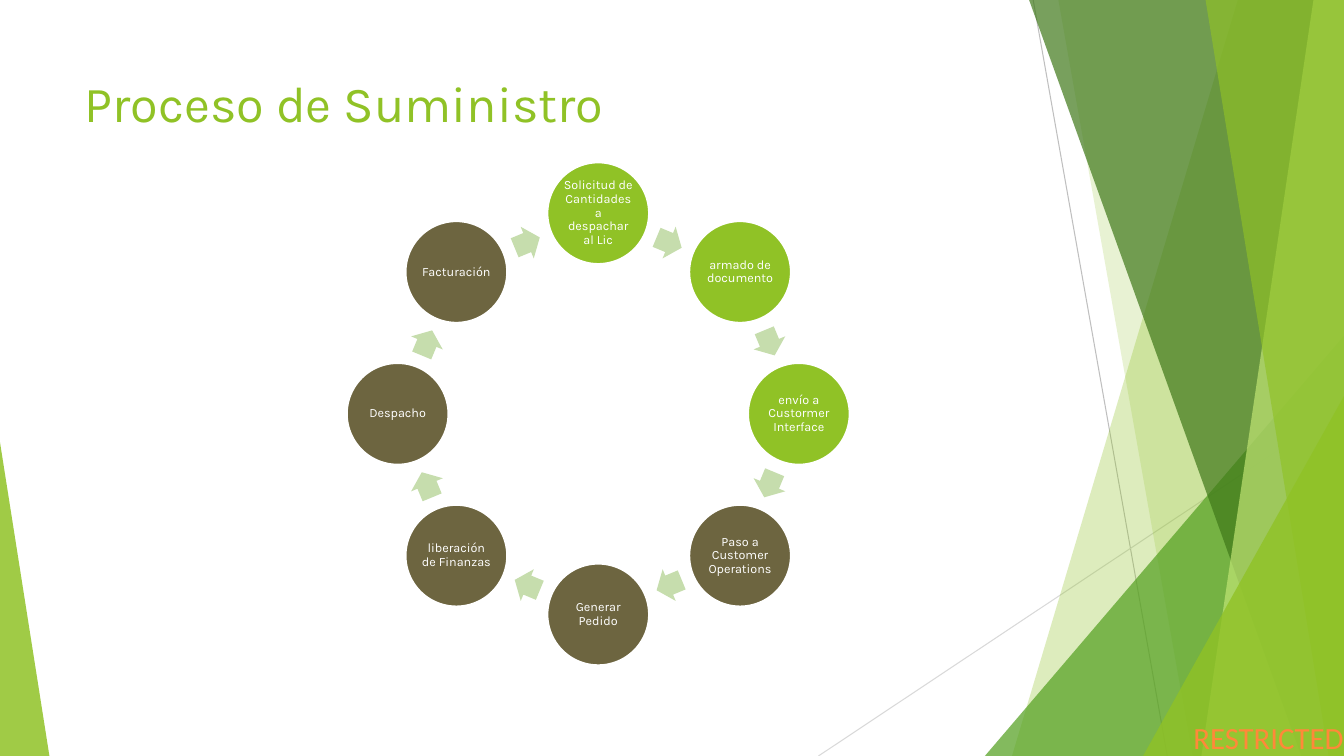
"""Build the supply process slide: a ring of eight steps on a green faceted theme."""
from math import cos, pi, sin

from lxml import etree
from pptx import Presentation
from pptx.dml.color import RGBColor
from pptx.enum import shapes, text
from pptx.oxml import ns
from pptx.util import Pt

GREEN = RGBColor(0x90, 0xC2, 0x26)
MID_GREEN = RGBColor(0x54, 0xA0, 0x21)
DARK_GREEN = RGBColor(0x3F, 0x78, 0x19)
LIME = RGBColor(0xC0, 0xE4, 0x74)
PALE_GREEN = RGBColor(0xC6, 0xDD, 0xAD)
OLIVE = RGBColor(0x6D, 0x65, 0x40)
ORANGE = RGBColor(0xFF, 0x89, 0x39)
WHITE = RGBColor(0xFF, 0xFF, 0xFF)
GRAY = RGBColor(0xBF, 0xBF, 0xBF)
LIGHT_GRAY = RGBColor(0xD9, 0xD9, 0xD9)

WIDTH, HEIGHT = 960, 540
CENTER_X, CENTER_Y, RADIUS = 427.3, 295.6, 143.3
CIRCLE = 72.7
ARROW_W, ARROW_H = 19.4, 24.5
STEPS = [
    ("Solicitud de Cantidades a despachar al Lic", GREEN),
    ("armado de documento", GREEN),
    ("envío a Custormer Interface", GREEN),
    ("Paso a Customer Operations", OLIVE),
    ("Generar Pedido", OLIVE),
    ("liberación de Finanzas", OLIVE),
    ("Despacho", OLIVE),
    ("Facturación", OLIVE),
]


def write(tf, words, size, color, font="Karla", align=None, spacing=None,
          anchor=text.MSO_ANCHOR.TOP, inset=None, wrap=True):
    """Put one formatted paragraph in a text frame."""
    tf.word_wrap = wrap
    tf.auto_size = text.MSO_AUTO_SIZE.NONE
    tf.vertical_anchor = anchor
    if inset is not None:
        tf.margin_left = tf.margin_right = Pt(inset)
        tf.margin_top = tf.margin_bottom = Pt(inset)
    p = tf.paragraphs[0]
    p.alignment = align
    p.line_spacing = spacing
    r = p.add_run()
    r.text = words
    r.font.size = Pt(size)
    r.font.name = font
    r.font.color.rgb = color


def paint(sp, color, alpha=100):
    """Give a shape a flat fill with no outline or shadow."""
    sp.shadow.inherit = False
    sp.fill.solid()
    sp.fill.fore_color.rgb = color
    sp.line.fill.background()
    if alpha < 100:
        clr = sp.fill._xPr.find(".//" + ns.qn("a:srgbClr"))
        etree.SubElement(clr, ns.qn("a:alpha"), val=str(alpha * 1000))


def add_shape(s, kind, x, y, w, h, color, alpha=100, adj=()):
    """Add a flat preset shape."""
    sp = s.shapes.add_shape(kind, Pt(x), Pt(y), Pt(w), Pt(h))
    for i, value in enumerate(adj):
        sp.adjustments[i] = value
    paint(sp, color, alpha)
    return sp


def add_panel(s, top_x, bottom_x, color, alpha):
    """Add a full-height panel with a slanted left edge."""
    fb = s.shapes.build_freeform(Pt(top_x), Pt(0))
    corners = [(WIDTH, 0), (WIDTH, HEIGHT), (bottom_x, HEIGHT)]
    fb.add_line_segments([(Pt(x), Pt(y)) for x, y in corners], close=True)
    paint(fb.convert_to_shape(), color, alpha)


def add_wedge(s, x, y, w, color, alpha, tip):
    """Add a triangle that stands on the bottom edge."""
    add_shape(s, shapes.MSO_SHAPE.ISOSCELES_TRIANGLE, x, y, w, HEIGHT - y,
              color, alpha, [tip])


def add_line(s, x1, y1, x2, y2, color):
    """Add a thin line without a shadow."""
    line = s.shapes.add_connector(
        shapes.MSO_CONNECTOR.STRAIGHT, Pt(x1), Pt(y1), Pt(x2), Pt(y2))
    line.line.color.rgb = color
    line.line.width = Pt(0.75)
    etree.SubElement(line._element.spPr, ns.qn("a:effectLst"))


def add_backdrop(s):
    """Add the faceted decoration from back to front."""
    add_line(s, 738, 0, 833.8, HEIGHT, GRAY)
    add_line(s, WIDTH, 290.2, 584.6, HEIGHT, LIGHT_GRAY)
    add_panel(s, 884.2, 722.9, GREEN, 30)
    add_panel(s, 756, 851.8, GREEN, 20)
    add_wedge(s, 703.5, 239.8, 256.5, MID_GREEN, 72, tip=1)
    add_panel(s, 735.1, 929.5, DARK_GREEN, 70)
    add_panel(s, 938.2, 858.2, LIME, 70)
    add_panel(s, 861.1, 949, GREEN, 65)
    add_wedge(s, 816.5, 283, 143.5, GREEN, 80, tip=1)
    add_wedge(s, 0, 316, 35.3, GREEN, 85, tip=0)


def add_label(s):
    """Add the classification label in the corner."""
    sp = s.shapes.add_textbox(Pt(852.5), Pt(513.4), Pt(107.5), Pt(26.6))
    write(sp.text_frame, "RESTRICTED", 22, ORANGE, font="Calibri", inset=0, wrap=False)


def add_title(s):
    """Place and fill the title placeholder."""
    sp = s.shapes.title
    sp.left, sp.top, sp.width, sp.height = Pt(53.3), Pt(48), Pt(677), Pt(104)
    write(sp.text_frame, "Proceso de Suministro", 36, GREEN,
          align=text.PP_ALIGN.LEFT)


def ring_corner(angle, radius, w, h):
    """Return the top-left corner of a box centred on the ring, clockwise from the top."""
    return (CENTER_X + radius * sin(angle) - w / 2,
            CENTER_Y - radius * cos(angle) - h / 2)


def add_cycle(s):
    """Add the step circles with an arrow after each one."""
    turn = 2 * pi / len(STEPS)
    for i, (words, color) in enumerate(STEPS):
        x, y = ring_corner(i * turn, RADIUS, CIRCLE, CIRCLE)
        sp = add_shape(s, shapes.MSO_SHAPE.OVAL, x, y, CIRCLE, CIRCLE, color)
        sp.line.color.rgb = WHITE
        sp.line.width = Pt(1.5)
        write(sp.text_frame, words, 9, WHITE, align=text.PP_ALIGN.CENTER,
              spacing=0.9, anchor=text.MSO_ANCHOR.MIDDLE, inset=0.9)
        x, y = ring_corner((i + 0.5) * turn, RADIUS * cos(turn / 2), ARROW_W, ARROW_H)
        arrow = add_shape(s, shapes.MSO_SHAPE.RIGHT_ARROW, x, y, ARROW_W, ARROW_H,
                          PALE_GREEN, adj=[0.6, 0.5])
        arrow.rotation = (i + 0.5) * 360 / len(STEPS)


def main():
    """Build and save the slide."""
    prs = Presentation()
    prs.slide_width, prs.slide_height = Pt(WIDTH), Pt(HEIGHT)
    s = prs.slides.add_slide(prs.slide_layouts[5])
    add_backdrop(s)
    add_label(s)
    add_title(s)
    add_cycle(s)
    prs.save("out.pptx")


main()
